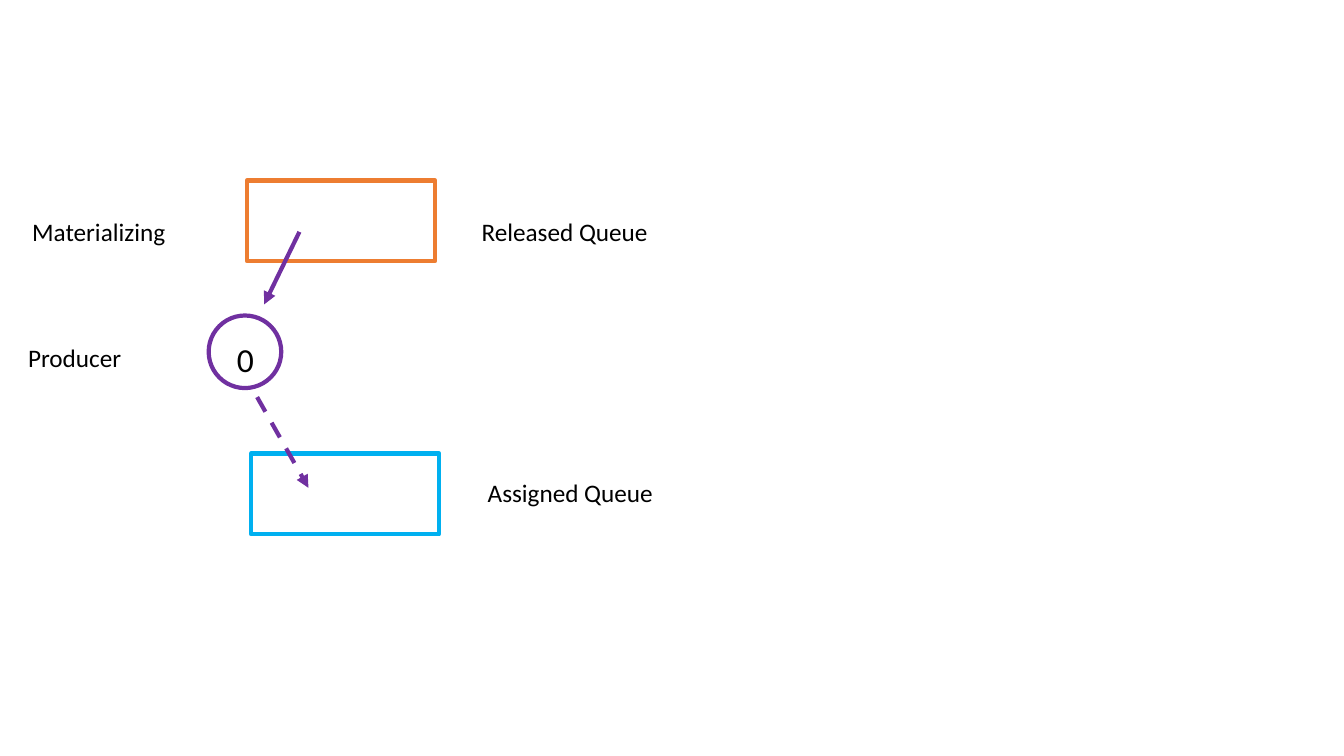
from lxml.etree import SubElement
from pptx import Presentation
from pptx.dml.color import RGBColor
from pptx.enum.dml import MSO_LINE
from pptx.enum.shapes import MSO_CONNECTOR, MSO_SHAPE
from pptx.enum.text import MSO_AUTO_SIZE
from pptx.oxml.ns import qn
from pptx.util import Inches, Pt

WHITE = RGBColor(0xFF, 0xFF, 0xFF)
BLACK = RGBColor(0, 0, 0)
ORANGE = RGBColor(0xED, 0x7D, 0x31)
BLUE = RGBColor(0x00, 0xB0, 0xF0)
PURPLE = RGBColor(0x70, 0x30, 0xA0)
FONT = "Calibri"
STROKE = Pt(3)

# Content: places and sizes are percent of the slide's width and height
QUEUE = (14, 10.67)
NODE = (5.4, 9.6)
SHAPES = [  # kind, place, size, fill, line
    (MSO_SHAPE.RECTANGLE, (18.38, 23.87), QUEUE, WHITE, ORANGE),
    (MSO_SHAPE.RECTANGLE, (18.68, 60), QUEUE, WHITE, BLUE),
    (MSO_SHAPE.OVAL, (15.53, 41.73), NODE, None, PURPLE),
]
LABELS = [  # text, place, size, points
    ("Released Queue", (35.1, 28), (14, 5.33), 18),
    ("Assigned Queue", (35.55, 62.53), (14, 5.33), 18),
    ("0", (16.88, 44.13), (2.78, 6.67), 24),
    ("Producer", (1.35, 44.67), (8.55, 5.33), 18),
    ("Materializing", (1.65, 28), (11.55, 5.33), 18),
]
ARROWS = [  # start, end, dash
    ((22.28, 30.67), (19.65, 40.27), None),
    ((19.13, 52.53), (22.95, 64.53), MSO_LINE.DASH),
]

deck = Presentation()
deck.slide_width, deck.slide_height = Inches(13.33), Inches(7.5)
slide = deck.slides.add_slide(deck.slide_layouts[6])


def scale(pair):
    x, y = pair
    return int(deck.slide_width * x / 100), int(deck.slide_height * y / 100)


# Queues and producer node
for kind, place, size, fill, color in SHAPES:
    shape = slide.shapes.add_shape(kind, *scale(place), *scale(size))
    shape.shadow.inherit = False
    if fill is None:
        shape.fill.background()
    else:
        shape.fill.solid()
        shape.fill.fore_color.rgb = fill
    shape.line.color.rgb = color
    shape.line.width = STROKE

# Labels
for text, place, size, points in LABELS:
    frame = slide.shapes.add_textbox(*scale(place), *scale(size)).text_frame
    frame.word_wrap = False
    frame.auto_size = MSO_AUTO_SIZE.SHAPE_TO_FIT_TEXT
    frame.text = text
    font = frame.paragraphs[0].runs[0].font
    font.name, font.size = FONT, Pt(points)
    font.color.rgb = BLACK

# Arrows
for start, end, dash in ARROWS:
    arrow = slide.shapes.add_connector(
        MSO_CONNECTOR.STRAIGHT, *scale(start), *scale(end))
    arrow.line.color.rgb = PURPLE
    arrow.line.width = STROKE
    if dash:
        arrow.line.dash_style = dash
    props = arrow._element.spPr
    SubElement(props.find(qn("a:ln")), qn("a:tailEnd"), type="triangle")
    SubElement(props, qn("a:effectLst"))

deck.save("out.pptx")
